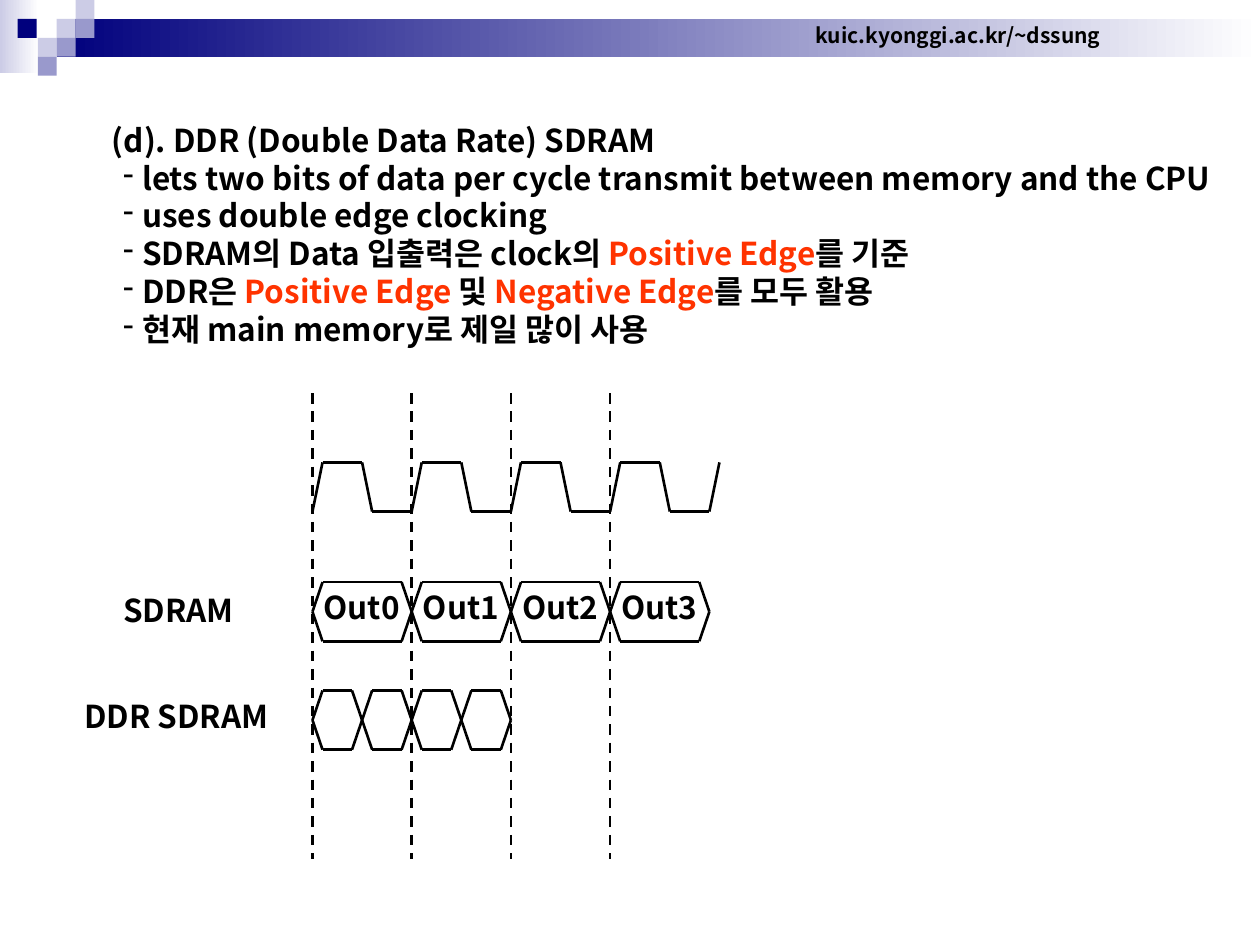
from dataclasses import dataclass
from itertools import pairwise

import lxml.etree
import pptx
import pptx.dml.color
import pptx.enum.dml
import pptx.enum.shapes
import pptx.enum.text
import pptx.oxml.ns
import pptx.util

Inches = pptx.util.Inches
Point = tuple[float, float]
Anchor = pptx.enum.text.MSO_ANCHOR
Align = pptx.enum.text.PP_ALIGN

BLACK, RED, WHITE = "000000", "FF3300", "FFFFFF"
NAVY, LILAC, PALE = "00007D", "9999CC", "CCCCE6"
TYPEFACE = "Noto Sans CJK KR"

CLOCK_LEFT, CYCLES = 2.48, 4
PERIOD = 3.15 / CYCLES
SLOPE = 0.08
CLOCK_HIGH, CLOCK_LOW = 3.67, 4.06
GUIDE_TOP, GUIDE_BOTTOM = 3.12, 6.82
CELL_HEIGHT = 0.47
SDRAM_TOP, DDR_TOP = 4.62, 5.48


@dataclass
class Block:
    left: float
    top: float
    width: float
    height: float
    color: str
    fade_to: str | None = None


@dataclass
class Span:
    text: str
    color: str = BLACK


@dataclass
class Line:
    spans: list[Span]
    margin: float = 0
    hanging: float = 0


@dataclass
class Label:
    lines: list[Line]
    left: float
    top: float
    width: float
    height: float = 0.4
    size: float = 18
    align: Align = Align.LEFT
    anchor: Anchor = Anchor.TOP
    wrap: bool = False


TILE = 0.15
BLOCKS = [
    Block(0, 0, 0.31, 0.58, PALE, WHITE),
    Block(0.45, 0.15, 9.55, 0.3, NAVY, WHITE),
    Block(0.45, 0.15, TILE, TILE, PALE),
    Block(0.6, 0, TILE, TILE, PALE),
    Block(0.6, 0.15, TILE, TILE, LILAC),
    Block(0.3, 0.3, TILE, TILE, PALE),
    Block(0.14, 0.15, TILE, TILE, NAVY),
    Block(0.45, 0.3, TILE, TILE, LILAC),
    Block(0.3, 0.45, TILE, TILE, LILAC),
]

BULLETS = [
    [Span("lets two bits of data per cycle transmit between memory and the CPU")],
    [Span("uses double edge clocking")],
    [Span("SDRAM의 Data 입출력은 clock의 "), Span("Positive Edge", RED), Span("를 기준")],
    [
        Span("DDR은 "),
        Span("Positive Edge ", RED),
        Span("및 "),
        Span("Negative Edge", RED),
        Span("를 모두 활용"),
    ],
    [Span("현재 main memory로 제일 많이 사용")],
]


def rgb(value: str) -> pptx.dml.color.RGBColor:
    return pptx.dml.color.RGBColor.from_string(value)


def add_block(page, block: Block) -> None:
    shape = page.shapes.add_shape(
        pptx.enum.shapes.MSO_SHAPE.RECTANGLE,
        Inches(block.left), Inches(block.top), Inches(block.width), Inches(block.height),
    )
    shape.shadow.inherit = False
    shape.line.fill.background()
    if block.fade_to is None:
        shape.fill.solid()
        shape.fill.fore_color.rgb = rgb(block.color)
        return
    shape.fill.gradient()
    shape.fill.gradient_angle = 0
    for stop, color in zip(shape.fill.gradient_stops, (block.color, block.fade_to)):
        stop.color.rgb = rgb(color)


def add_line(page, start: Point, end: Point, dashed: bool = False) -> None:
    line = page.shapes.add_connector(
        pptx.enum.shapes.MSO_CONNECTOR.STRAIGHT, *map(Inches, (*start, *end))
    )
    line.line.color.rgb = rgb(BLACK)
    line.line.width = pptx.util.Pt(1.5)
    if dashed:
        line.line.dash_style = pptx.enum.dml.MSO_LINE.DASH
    lxml.etree.SubElement(line._element.spPr, pptx.oxml.ns.qn("a:effectLst"))


def add_trace(page, points: list[Point]) -> None:
    for start, end in pairwise(points):
        add_line(page, start, end)


def add_cell(page, left: float, top: float, width: float) -> None:
    right, middle, bottom = left + width, top + CELL_HEIGHT / 2, top + CELL_HEIGHT
    corners = [
        (left, middle), (left + SLOPE, top), (right - SLOPE, top),
        (right, middle), (right - SLOPE, bottom), (left + SLOPE, bottom),
    ]
    add_trace(page, [*corners, corners[0]])


def add_label(page, label: Label) -> None:
    box = page.shapes.add_textbox(
        Inches(label.left), Inches(label.top), Inches(label.width), Inches(label.height)
    )
    frame = box.text_frame
    settings = {"word_wrap": label.wrap, "vertical_anchor": label.anchor}
    for name, value in settings.items():
        setattr(frame, name, value)
    for index, line in enumerate(label.lines):
        para = frame.add_paragraph() if index else frame.paragraphs[0]
        para.alignment = label.align
        properties = para._p.get_or_add_pPr()
        if line.margin:
            properties.set("marL", str(Inches(line.margin)))
        if line.hanging:
            properties.set("indent", str(-Inches(line.hanging)))
            bullet = lxml.etree.SubElement(properties, pptx.oxml.ns.qn("a:buChar"))
            bullet.set("char", "-")
        for part in line.spans:
            add_span(para, part, label.size)


def add_span(para, part: Span, size: float) -> None:
    span = para.add_run()
    span.text = part.text
    font_format = {"name": TYPEFACE, "size": pptx.util.Pt(size), "bold": True}
    for name, value in font_format.items():
        setattr(span.font, name, value)
    span.font.color.rgb = rgb(part.color)
    asian = lxml.etree.SubElement(span._r.get_or_add_rPr(), pptx.oxml.ns.qn("a:ea"))
    asian.set("typeface", TYPEFACE)


def plain(text: str, margin: float = 0) -> list[Line]:
    return [Line([Span(text)], margin)]


def main() -> None:
    deck = pptx.Presentation()
    deck.slide_width, deck.slide_height = Inches(10), Inches(7.5)
    page = deck.slides.add_slide(deck.slide_layouts[6])

    for block in BLOCKS:
        add_block(page, block)
    add_label(page, Label(plain("kuic.kyonggi.ac.kr/~dssung"), 6.36, 0.13, 2.49, 0.3,
                          size=12, align=Align.CENTER, anchor=Anchor.MIDDLE))
    heading = plain("(d). DDR (Double Data Rate) SDRAM", 0.41)
    bullets = [Line(spans, margin=0.65, hanging=0.15) for spans in BULLETS]
    add_label(page, Label(heading + bullets, 0.38, 0.91, 9.6, 1.9,
                          anchor=Anchor.MIDDLE, wrap=True))

    edges = [CLOCK_LEFT + cycle * PERIOD for cycle in range(CYCLES + 1)]
    clock = []
    for edge in edges:
        fall = edge + PERIOD / 2
        clock += [(edge, CLOCK_LOW), (edge + SLOPE, CLOCK_HIGH),
                  (fall, CLOCK_HIGH), (fall + SLOPE, CLOCK_LOW)]
    add_trace(page, clock[:-2])

    for cycle, edge in enumerate(edges[:-1]):
        add_cell(page, edge, SDRAM_TOP, PERIOD)
        add_label(page, Label(plain(f"Out{cycle}"), edge - 0.01, SDRAM_TOP, 0.81))
        add_cell(page, CLOCK_LEFT + cycle * PERIOD / 2, DDR_TOP, PERIOD / 2)
        add_line(page, (edge, GUIDE_TOP), (edge, GUIDE_BOTTOM), dashed=True)

    add_label(page, Label(plain("SDRAM"), 0.88, 4.64, 1.09))
    add_label(page, Label(plain("DDR SDRAM"), 0.57, 5.48, 1.69))
    deck.save("out.pptx")


if __name__ == "__main__":
    main()
